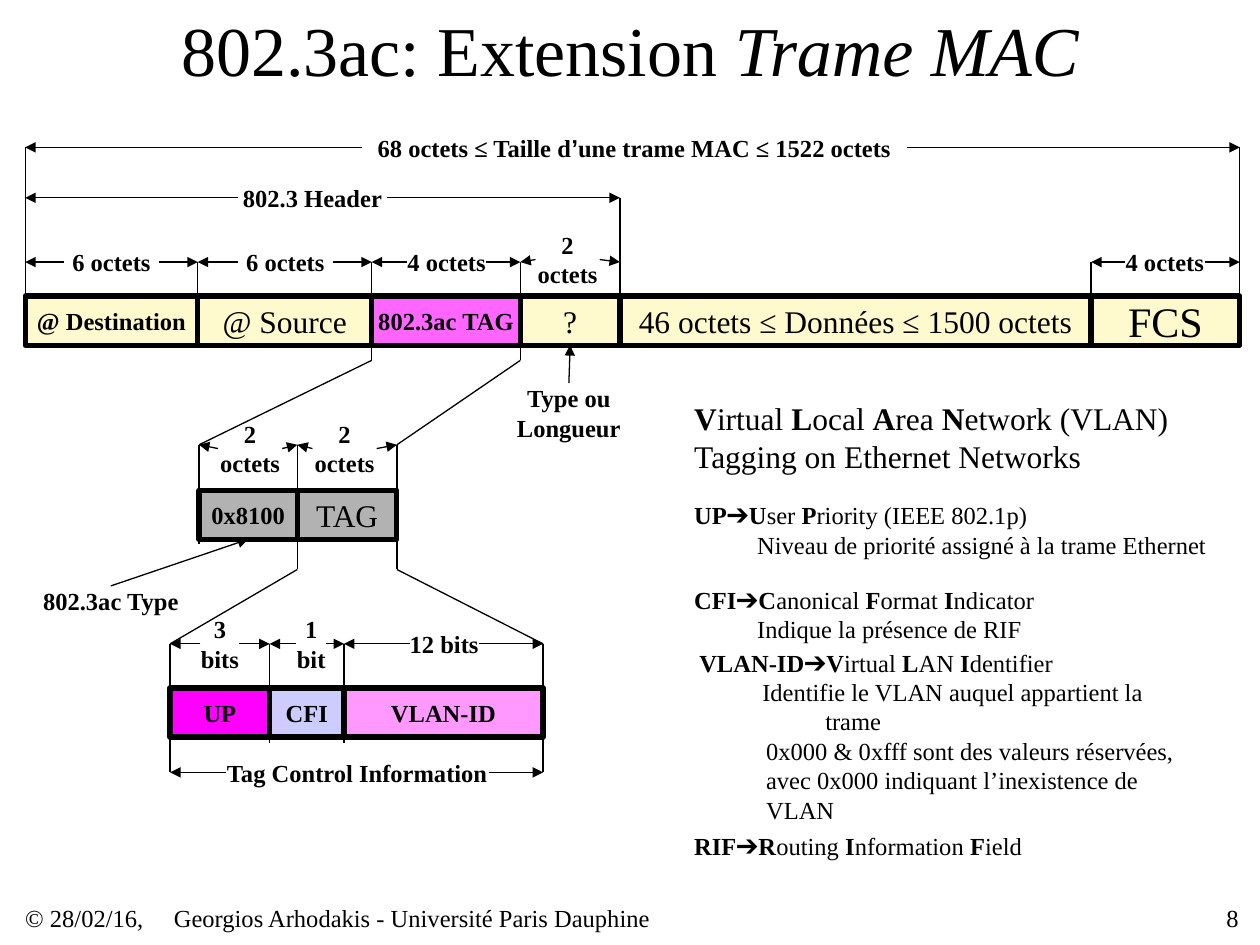
from itertools import pairwise

from lxml.etree import SubElement
from pptx import Presentation
from pptx.dml.color import RGBColor
from pptx.enum.shapes import MSO_CONNECTOR, MSO_SHAPE
from pptx.enum.text import MSO_ANCHOR, PP_ALIGN
from pptx.oxml.ns import qn
from pptx.util import Inches, Pt

BLACK = RGBColor(0x00, 0x00, 0x00)
CREAM = RGBColor(0xFF, 0xFA, 0xCD)
PINK = RGBColor(0xFF, 0x66, 0xFF)
LIGHT_PINK = RGBColor(0xFF, 0x99, 0xFF)
MAGENTA = RGBColor(0xFF, 0x00, 0xFF)
LAVENDER = RGBColor(0xCC, 0xCC, 0xFF)
GREY = RGBColor(0xB2, 0xB2, 0xB2)

TOP, LEFT, BOTTOM, RIGHT = range(4)
FIELD_HEIGHT = 0.39
HANGING = (0.5, -0.5)
DEEP_HANGING = (1, -0.5)
BLOCK = (0.53, 0)


class FrameDiagram:
    font = "Times New Roman"
    line_width = Pt(0.75)
    border_width = Pt(3)

    def __init__(self, page):
        self.page = page

    def style(self, font, size, bold=None):
        font.name = self.font
        font.size = Pt(size)
        font.color.rgb = BLACK
        if bold is not None:
            font.bold = bold

    def title(self, *parts):
        """Write (text, italic) parts into the title placeholder."""
        box = self.page.shapes.title
        box.left, box.top, box.width, box.height = map(Inches, (0.75, 0, 8.5, 0.77))
        box.text_frame.vertical_anchor = MSO_ANCHOR.MIDDLE
        para = box.text_frame.paragraphs[0]
        para.alignment = PP_ALIGN.CENTER
        for text, italic in parts:
            span = para.add_run()
            span.text = text
            self.style(span.font, 40)
            span.font.italic = italic

    def fill_frame(self, frame, lines, size, bold, align, wrap=True):
        """Write (text, indents) lines; ** in a text switches bold on and off."""
        frame.margin_left = frame.margin_right = 0
        frame.margin_top = frame.margin_bottom = 0
        frame.vertical_anchor = MSO_ANCHOR.MIDDLE
        frame.word_wrap = wrap
        for number, (text, indents) in enumerate(lines):
            para = frame.add_paragraph() if number else frame.paragraphs[0]
            para.alignment = align
            if indents:
                margin, first = indents
                properties = para._p.get_or_add_pPr()
                properties.set("marL", str(Inches(margin)))
                properties.set("indent", str(Inches(first)))
            self.style(para.font, size, bold)
            pieces = text.split("**")
            for index, piece in enumerate(pieces):
                if piece:
                    span = para.add_run()
                    span.text = piece
                    if len(pieces) > 1:
                        span.font.bold = index % 2 == 1

    def text(self, lines, left, top, width, height, size=14, bold=False,
             align=PP_ALIGN.LEFT, wrap=True):
        box = self.page.shapes.add_textbox(*map(Inches, (left, top, width, height)))
        if isinstance(lines, str):
            lines = [(line, None) for line in lines.split("\n")]
        self.fill_frame(box.text_frame, lines, size, bold, align, wrap)
        return box

    def label(self, text, left, top, width, height):
        return self.text(text, left, top, width, height, bold=True,
                         align=PP_ALIGN.CENTER, wrap=height > 0.3)

    def fields(self, top, edges, fields):
        """Draw a row of (text, size, bold, colour) boxes between the edges."""
        boxes = []
        for (left, right), (text, size, bold, colour) in zip(pairwise(edges), fields):
            box = self.page.shapes.add_shape(
                MSO_SHAPE.RECTANGLE,
                *map(Inches, (left, top, right - left, FIELD_HEIGHT)))
            box.shadow.inherit = False
            box.fill.solid()
            box.fill.fore_color.rgb = colour
            box.line.color.rgb = BLACK
            box.line.width = self.border_width
            self.fill_frame(box.text_frame, [(text, None)], size, bold, PP_ALIGN.CENTER)
            boxes.append(box)
        return boxes

    def line(self, start, end, arrow=False):
        connector = self.page.shapes.add_connector(
            MSO_CONNECTOR.STRAIGHT, *map(Inches, (*start, *end)))
        connector.line.color.rgb = BLACK
        connector.line.width = self.line_width
        if arrow:
            SubElement(connector.line._get_or_add_ln(), qn("a:tailEnd"), type="triangle")
        SubElement(connector._element.spPr, qn("a:effectLst"))
        return connector

    def arrow(self, source, source_side, target, target_side):
        connector = self.line((0, 0), (1, 1), arrow=True)
        connector.begin_connect(source, source_side)
        connector.end_connect(target, target_side)

    def dimension(self, text, left, right, y, label_left, width, height=0.24, shift=0):
        """Draw a label with an arrow from each side to the measured ends."""
        middle = y + shift
        box = self.label(text, label_left, middle - height / 2, width, height)
        sides = ((LEFT, label_left, left), (RIGHT, label_left + width, right))
        for side, start, end in sides:
            connector = self.line((start, middle), (end, y), arrow=True)
            connector.begin_connect(box, side)
        return box


def main():
    deck = Presentation()
    deck.slide_width, deck.slide_height = Inches(10), Inches(7.5)
    page = deck.slides.add_slide(deck.slide_layouts[5])
    diagram = FrameDiagram(page)
    diagram.title(("802.3ac: Extension ", False), ("Trame MAC", True))

    frame_fields = diagram.fields(2.35, (0.2, 1.57, 2.95, 4.13, 4.92, 8.66, 9.84), (
        ("@ Destination", 14, True, CREAM),
        ("@ Source", 18, False, CREAM),
        ("802.3ac TAG", 14, True, PINK),
        ("?", 18, False, CREAM),
        ("46 octets ≤ Données ≤ 1500 octets", 18, False, CREAM),
        ("FCS", 24, False, CREAM)))
    tag_fields = diagram.fields(3.89, (1.58, 2.36, 3.15), (
        ("0x8100", 14, True, GREY), ("TAG", 18, False, GREY)))
    diagram.fields(5.46, (1.35, 2.14, 2.73, 4.31), (
        ("UP", 14, True, MAGENTA),
        ("CFI", 14, True, LAVENDER),
        ("VLAN-ID", 14, True, LIGHT_PINK)))

    guides = (
        (1.17, 2.75, (0.2, 9.84)), (1.57, 2.75, (4.92,)),
        (2.08, 2.75, (1.57, 8.66)), (2.08, 2.86, (2.95, 4.13)),
        (3.53, 4.32, (1.58,)), (3.53, 4.52, (2.36, 3.15)),
        (5.11, 6.13, (1.35, 4.31)), (5.11, 5.9, (2.14, 2.73)))
    for top, bottom, positions in guides:
        for x in positions:
            diagram.line((x, top), (x, bottom))
    zooms = (((2.95, 2.86), (1.58, 3.53)), ((4.13, 2.86), (3.15, 3.53)),
             ((2.36, 4.52), (1.35, 5.11)), ((3.15, 4.52), (4.31, 5.11)))
    for start, end in zooms:
        diagram.line(start, end)

    total = diagram.dimension("68 octets ≤ Taille d", 0.2, 9.84, 1.17, 2.87, 4.33)
    para = total.text_frame.paragraphs[0]
    apostrophe = para.add_run()
    apostrophe.text = "’"
    apostrophe.font.name = "Arial"
    para.add_run().text = "une trame MAC ≤ 1522 octets"

    dimensions = (
        ("802.3 Header", 0.2, 4.92, 1.57, 1.89, 1.18),
        ("6 octets", 0.2, 1.57, 2.08, 0.51, 0.75),
        ("6 octets", 1.57, 2.95, 2.08, 1.89, 0.75),
        ("4 octets", 2.95, 4.13, 2.08, 3.23, 0.63),
        ("2\noctets", 4.13, 4.92, 2.08, 4.25, 0.51, 0.43, -0.02),
        ("4 octets", 8.66, 9.84, 2.08, 8.93, 0.63),
        ("2\noctets", 1.58, 2.36, 3.53, 1.73, 0.51, 0.43, 0.03),
        ("2\noctets", 2.36, 3.15, 3.53, 2.48, 0.51, 0.43, 0.03),
        ("3 bits", 1.35, 2.14, 5.11, 1.59, 0.31, 0.47),
        ("1 bit", 2.14, 2.73, 5.11, 2.35, 0.24, 0.47),
        ("12 bits", 2.73, 4.31, 5.11, 3.25, 0.55),
        ("Tag Control Information", 1.35, 4.31, 6.13, 1.79, 2.09))
    for dimension in dimensions:
        diagram.dimension(*dimension)

    tag_type = diagram.label("802.3ac Type", 0.33, 4.65, 1.1, 0.24)
    diagram.arrow(tag_type, TOP, tag_fields[0], BOTTOM)
    length_type = diagram.label("Type ou Longueur", 4.1, 3.04, 0.83, 0.47)
    diagram.arrow(length_type, TOP, frame_fields[3], BOTTOM)

    diagram.text("**V**irtual **L**ocal **A**rea **N**etwork (VLAN) "
                 "Tagging on Ethernet Networks", 5.51, 3.16, 3.78, 0.61, size=18)
    diagram.text((
        ("**UP➔U**ser **P**riority (IEEE 802.1p)", HANGING),
        ("Niveau de priorité assigné à la trame Ethernet", DEEP_HANGING),
    ), 5.51, 3.97, 4.09, 0.47)
    diagram.text((
        ("**CFI➔C**anonical **F**ormat **I**ndicator", HANGING),
        ("Indique la présence de RIF", DEEP_HANGING),
    ), 5.51, 4.64, 2.76, 0.47)
    diagram.text((
        ("**VLAN-ID➔V**irtual **L**AN **I**dentifier", HANGING),
        ("Identifie le VLAN auquel appartient la trame", DEEP_HANGING),
        ("0x000 & 0xfff sont des valeurs réservées, avec 0x000 indiquant "
         "l’inexistence de VLAN", BLOCK),
    ), 5.55, 5.25, 4.01, 1.18)
    diagram.text((("**RIF➔R**outing **I**nformation **F**ield", HANGING),),
                 5.51, 6.59, 2.64, 0.24)

    diagram.text("© 28/02/16,", 0.2, 7.16, 1.18, 0.24)
    diagram.text("Georgios Arhodakis - Université Paris Dauphine", 1.38, 7.16, 5.9, 0.24)
    diagram.text("8", 7.75, 7.16, 2.08, 0.24, align=PP_ALIGN.RIGHT)
    deck.save("out.pptx")


if __name__ == "__main__":
    main()
